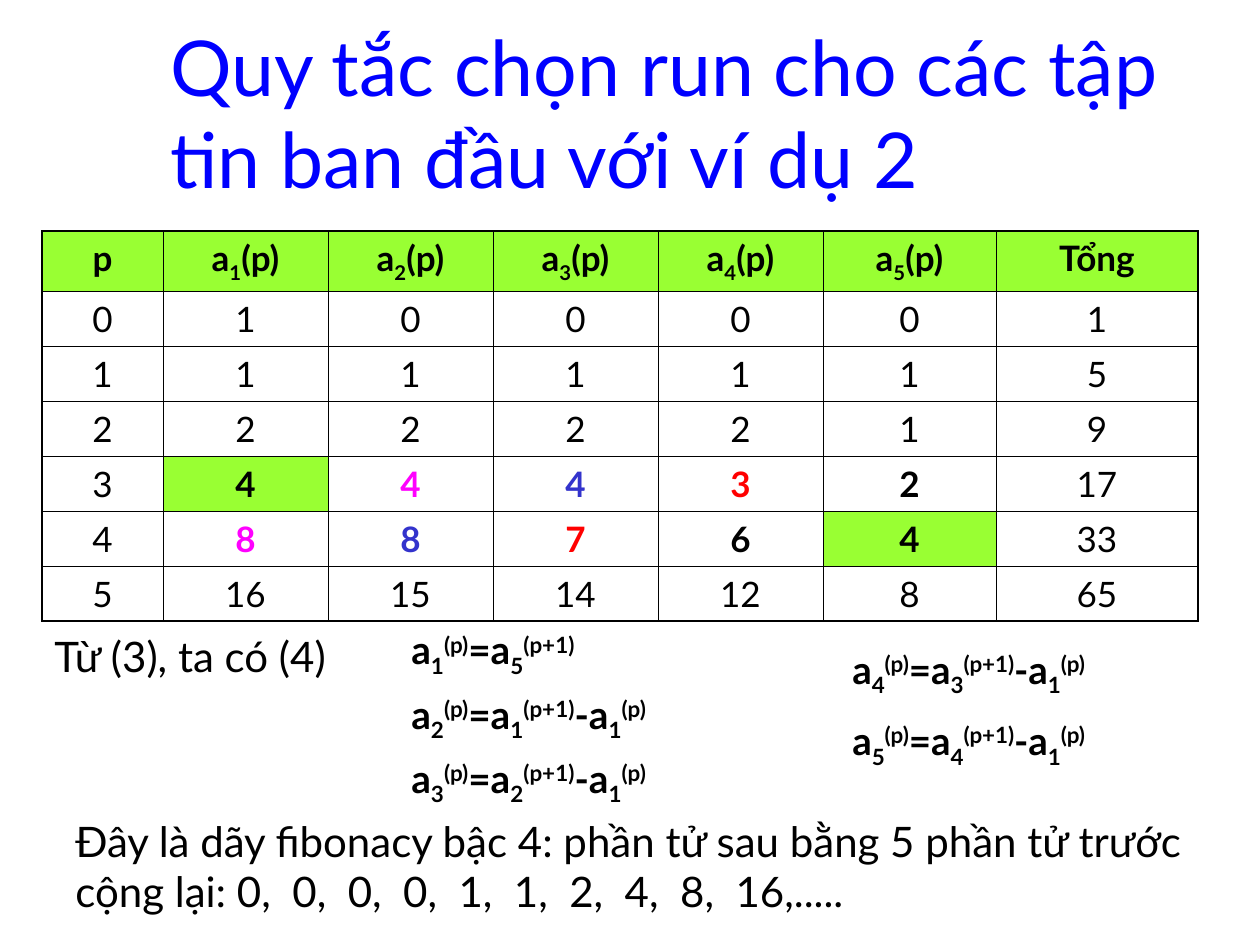
from itertools import cycle

from lxml import etree
from pptx import Presentation
from pptx.dml.color import RGBColor
from pptx.enum.text import MSO_ANCHOR, PP_ALIGN
from pptx.oxml.ns import qn
from pptx.util import Pt

PX = 914400 / 126
TOP, BOTTOM = MSO_ANCHOR.TOP, MSO_ANCHOR.BOTTOM
CENTER = PP_ALIGN.CENTER
BLACK = RGBColor(0x00, 0x00, 0x00)
TITLE = RGBColor(0x00, 0x00, 0xFF)
GREEN = RGBColor(0x99, 0xFF, 0x33)
PINK = RGBColor(0xFF, 0x00, 0xFF)
BLUE = RGBColor(0x33, 0x33, 0xCC)
RED = RGBColor(0xFF, 0x00, 0x00)
THIN, THICK = 0.45, 1.08


def write(para, text, size, color=BLACK, bold=False):
    """Parts split by | are in turn normal, subscript and superscript."""
    font = {"name": "Lato", "size": Pt(size), "bold": bold}
    for part, base in zip(text.split("|"), cycle((0, -25000, 30000))):
        if not part:
            continue
        run = para.add_run()
        run.text = part
        for key, value in font.items():
            setattr(run.font, key, value)
        run.font.color.rgb = color
        if base:
            run.font._element.set("baseline", str(base))


def edge(cell, side, width):
    line = etree.SubElement(cell._tc.get_or_add_tcPr(), qn(f"a:ln{side}"),
                            w=str(Pt(width)))
    fill = etree.SubElement(line, qn("a:solidFill"))
    etree.SubElement(fill, qn("a:srgbClr"), val=str(BLACK))


deck = Presentation()
deck.slide_width, deck.slide_height = round(1260 * PX), round(945 * PX)
slide = deck.slides.add_slide(deck.slide_layouts[6])

# Table of runs per file
heads = ["p"] + [f"a|{i}||(p)" for i in range(1, 6)] + ["Tổng"]
runs = [
    [1, 0, 0, 0, 0],
    [1, 1, 1, 1, 1],
    [2, 2, 2, 2, 1],
    [4, 4, 4, 3, 2],
    [8, 8, 7, 6, 4],
    [16, 15, 14, 12, 8],
]
rows = [heads] + [[p, *row, sum(row)] for p, row in enumerate(runs)]
widths = [121, 165, 165, 165, 165, 173, 202]
heights = [60] + [55] * len(runs)
hues = [BLACK, PINK, BLUE, RED, BLACK, BLACK]
marks = [(4, 1), (5, 5)]
last_row, last_col = len(rows) - 1, len(widths) - 1

box = [round(n * PX) for n in (42, 231, sum(widths), sum(heights))]
table = slide.shapes.add_table(len(rows), len(widths), *box).table
table.first_row = table.horz_banding = False
for col, width in zip(table.columns, widths):
    col.width = round(width * PX)
for row, height in zip(table.rows, heights):
    row.height = round(height * PX)

for r, row in enumerate(rows):
    for c, value in enumerate(row):
        cell = table.cell(r, c)
        edge(cell, "L", THICK if c == 0 else THIN)
        edge(cell, "R", THICK if c == last_col else THIN)
        edge(cell, "T", THICK if r == 0 else THIN)
        edge(cell, "B", THICK if r == last_row else THIN)
        if r == 0 or (r, c) in marks:
            cell.fill.solid()
            cell.fill.fore_color.rgb = GREEN
        else:
            cell.fill.background()
        # Equal values in rows 3 and 4 share a colour, one column apart
        shift = r in (4, 5) and 0 < c < last_col
        color = hues[c + r - 5] if shift else BLACK
        para = cell.text_frame.paragraphs[0]
        para.alignment = CENTER
        write(para, str(value), 20, color, r == 0 or shift)

# Title, formulas and notes
rules = ["a|1|(p)|=a|5|(p+1)"]
rules += [f"a|{i}|(p)|=a|{i - 1}|(p+1)|-a|1|(p)" for i in range(2, 6)]
series = ",  ".join(str(n) for n in (0, 0, 0, 0, 1, 1, 2, 4, 8, 16))
texts = [
    ((158, 53, 1061, 157), BOTTOM, 44, TITLE, False, 1, 0,
     ["Quy tắc chọn run cho các tập tin ban đầu với ví dụ 2"]),
    ((399, 620, 420, 199), TOP, 22.1, BLACK, True, 1, 6.5, rules[:3]),
    ((42, 630, 347, 58), TOP, 24, BLACK, False, 0.9, 0,
     ["Từ (3), ta có (4)"]),
    ((840, 640, 352, 131), TOP, 22, BLACK, True, 0.9, 13.8, rules[3:]),
    ((63, 809, 1134, 113), TOP, 24, BLACK, False, 1, 0,
     ["Đây là dãy fibonacy bậc 4: phần tử sau bằng 5 phần tử trước "
      f"cộng lại: {series},....."]),
]
for place, anchor, size, color, bold, spacing, gap, lines in texts:
    frame = slide.shapes.add_textbox(*[round(n * PX) for n in place]).text_frame
    frame.word_wrap = True
    frame.vertical_anchor = anchor
    for i, line in enumerate(lines):
        para = frame.add_paragraph() if i else frame.paragraphs[0]
        para.line_spacing = spacing
        if i:
            para.space_before = Pt(gap)
        write(para, line, size, color, bold)

deck.save("out.pptx")
